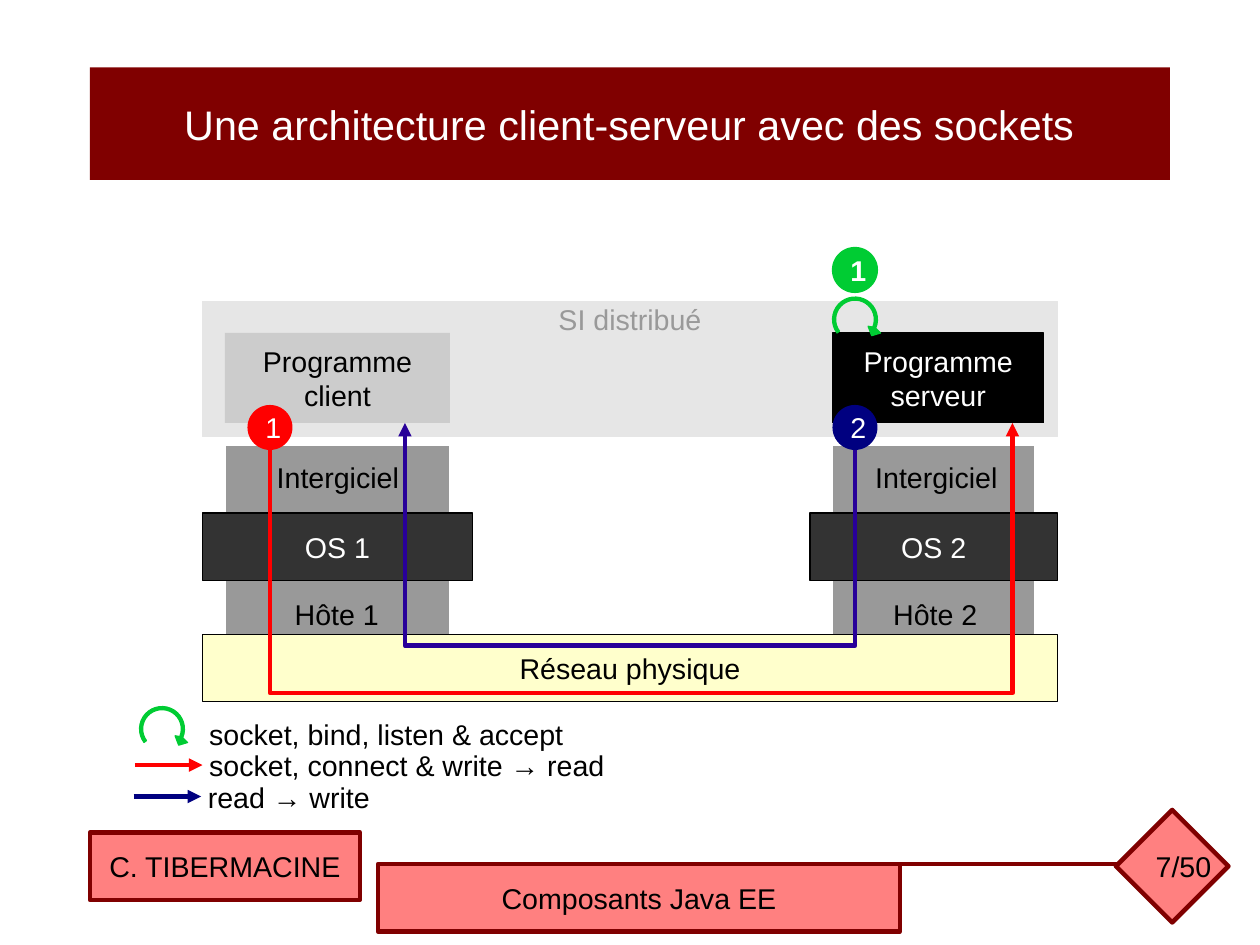
from dataclasses import dataclass
from math import cos, radians, sin, tan

from lxml import etree
from pptx import Presentation
from pptx import util as u
from pptx.dml.color import RGBColor
from pptx.enum import shapes, text
from pptx.oxml import ns

Point = tuple[float, float]
KIND = shapes.MSO_SHAPE
MID = text.MSO_ANCHOR.MIDDLE
TOP = text.MSO_ANCHOR.TOP
LEFT = text.PP_ALIGN.LEFT
CENTER = text.PP_ALIGN.CENTER


@dataclass(frozen=True)
class Theme:
    face: str = "Arial"
    size: float = 18
    title: float = 26
    thick: float = 2.83
    hair: float = 0
    white: str = "FFFFFF"
    black: str = "000000"
    wine: str = "800000"
    pink: str = "FF8080"
    pale: str = "E6E6E6"
    light: str = "CCCCCC"
    gray: str = "999999"
    dark: str = "333333"
    cream: str = "FFFFCC"
    red: str = "FF0000"
    navy: str = "000080"
    violet: str = "280099"
    green: str = "00CC33"


T = Theme()


@dataclass
class Box:
    words: str
    x: float
    y: float
    w: float
    h: float
    fill: str
    ink: str = T.black
    edge: str | None = None
    thick: float = T.hair
    kind: KIND = KIND.RECTANGLE
    size: float = T.size
    bold: bool = False
    anchor: text.MSO_ANCHOR = MID
    inset: float = 0.13


@dataclass
class Label:
    words: str
    x: float
    y: float
    w: float
    wrap: bool = False
    align: text.PP_ALIGN = LEFT


@dataclass
class Route:
    points: list[Point]
    tone: str
    end: str


@dataclass
class Line:
    start: Point
    stop: Point
    tone: str
    end: str | None = None


def paint(part, tone: str) -> None:
    part.solid()
    part.fore_color.rgb = RGBColor.from_string(tone)


def stroke(shape, tone: str | None, thick: float, end: str | None = None) -> None:
    if tone is None:
        shape.line.fill.background()
        return
    paint(shape.line.fill, tone)
    shape.line.width = u.Pt(thick)
    if end:
        edge = shape.element.spPr.find(ns.qn("a:ln"))
        etree.SubElement(edge, ns.qn(f"a:{end}End"), type="triangle")


def write(frame, words: str, ink: str, form: dict, align: text.PP_ALIGN,
          size: float = T.size, bold: bool = False) -> None:
    frame.text = words
    for name, value in form.items():
        setattr(frame, name, value)
    font_form = {"name": T.face, "size": u.Pt(size), "bold": bold}
    for para in frame.paragraphs:
        para.alignment = align
        for name, value in font_form.items():
            setattr(para.font, name, value)
        para.font.color.rgb = RGBColor.from_string(ink)


def draw_box(page, box: Box) -> None:
    place = [u.Cm(n) for n in (box.x, box.y, box.w, box.h)]
    shape = page.add_shape(box.kind, *place)
    shape.shadow.inherit = False
    paint(shape.fill, box.fill)
    stroke(shape, box.edge, box.thick)
    if box.words:
        form = {"word_wrap": True, "vertical_anchor": box.anchor,
                "margin_top": u.Cm(box.inset)}
        write(shape.text_frame, box.words, box.ink, form, CENTER, box.size, box.bold)


def draw_label(page, label: Label) -> None:
    shape = page.add_textbox(*[u.Cm(n) for n in (label.x, label.y, label.w, 0.96)])
    form = {"word_wrap": label.wrap, "auto_size": text.MSO_AUTO_SIZE.SHAPE_TO_FIT_TEXT}
    write(shape.text_frame, label.words, T.black, form, label.align)


def draw_form(page, points: list[Point], close: bool):
    first, *rest = [(u.Cm(x), u.Cm(y)) for x, y in points]
    pen = page.build_freeform(*first)
    pen.add_line_segments(rest, close=close)
    shape = pen.convert_to_shape()
    shape.shadow.inherit = False
    return shape


def draw_area(page, points: list[Point], fill: str, edge: str):
    shape = draw_form(page, points, True)
    paint(shape.fill, fill)
    stroke(shape, edge, T.hair)
    return shape


def draw_route(page, route: Route) -> None:
    shape = draw_form(page, route.points, False)
    shape.fill.background()
    stroke(shape, route.tone, T.thick, route.end)


def draw_line(page, line: Line) -> None:
    ends = [u.Cm(n) for n in (*line.start, *line.stop)]
    shape = page.add_connector(shapes.MSO_CONNECTOR.STRAIGHT, *ends)
    stroke(shape, line.tone, T.thick, line.end)
    etree.SubElement(shape.element.spPr, ns.qn("a:effectLst"))


def trace_arc(ray: float, start: float, step: float) -> list[Point]:
    pull = 4 / 3 * tan(radians(step) / 4)
    points = []
    for turn in range(4):
        a = radians(start + turn * step)
        x, y = ray * cos(a), ray * sin(a)
        before, after = (x + pull * y, y - pull * x), (x - pull * y, y + pull * x)
        points += [before, (x, y), after]
    return points[1:-1]


def draw_loop(page, x: float, y: float) -> None:
    head = [(0.57, 0.3), (0.37, 0.36), (0.29, 0.15)]
    ring = trace_arc(0.43, 23, -80) + trace_arc(0.5, -217, 80) + head
    shape = draw_area(page, [(x + a, y + b) for a, b in ring], T.green, T.green)
    legs = list(shape.element.spPr.iter(ns.qn("a:lnTo")))
    for first in (0, 3, 6, 10, 13, 16):
        curve, *others = legs[first:first + 3]
        curve.tag = ns.qn("a:cubicBezTo")
        for leg in others:
            curve.append(leg[0])
            leg.getparent().remove(leg)


BACK = Box("SI distribué", 4.5, 6.7, 19, 3, T.pale, T.gray, T.pale,
           anchor=TOP, inset=0)
HOSTS = [(5, 9.9), (5, 15.4), (23, 15.4), (23, 9.9),
         (18.5, 9.9), (18.5, 14.17), (10, 14.17), (10, 9.9)]
BOXES = [
    Box("Une architecture client-serveur avec des sockets", 2, 1.5, 24, 2.5,
        T.wine, T.white, size=T.title),
    Box("C. TIBERMACINE", 2, 18.5, 6, 1.5, T.pink, edge=T.wine, thick=T.thick),
    Box("", 24.8, 18, 2.5, 2.5, T.pink, edge=T.wine, thick=T.thick, kind=KIND.DIAMOND),
    Box("Composants Java EE", 8.4, 19.2, 11.6, 1.5, T.pink, edge=T.wine, thick=T.thick),
    Box("Réseau physique", 4.5, 14.1, 19, 1.5, T.cream, edge=T.black),
    Box("OS 1", 4.5, 11.4, 6, 1.5, T.dark, T.white, T.black),
    Box("OS 2", 18, 11.4, 5.5, 1.5, T.dark, T.white, T.black),
    Box("Programme\nclient", 5, 7.4, 5, 2, T.light),
    Box("Programme\nserveur", 18.5, 7.4, 4.7, 2, T.black, T.white, T.black),
]
LABELS = [
    Label("7/50", 25.2, 18.75, 2.2, True, CENTER),
    Label("Intergiciel", 5.9, 10.1, 3.25),
    Label("Intergiciel", 19.2, 10.1, 3.25),
    Label("Hôte 1", 6.3, 13.13, 2.45),
    Label("Hôte 2", 19.6, 13.13, 2.45),
    Label("socket, bind, listen & accept", 4.4, 15.8, 8.45),
    Label("socket, connect & write → read", 4.4, 16.5, 9.4),
    Label("read → write", 4.37, 17.2, 4.2),
]
ROUTES = [
    Route([(6, 9.4), (6, 15.4), (22.5, 15.4), (22.5, 9.4)], T.red, "tail"),
    Route([(9, 9.4), (9, 14.35), (19, 14.35), (19, 9.4)], T.violet, "head"),
]
RULE = Line((25, 19.2), (18.5, 19.2), T.wine)
KEYS = [
    Line((3, 17), (4.5, 17), T.red, "tail"),
    Line((2.97, 17.7), (4.47, 17.7), T.navy, "tail"),
]
DOTS = [
    Box("1", 5.5, 9, 1, 1, T.red, T.white, kind=KIND.OVAL),
    Box("2", 18.5, 9, 1, 1, T.navy, T.white, kind=KIND.OVAL),
    Box("1", 18.5, 5.5, 1, 1, T.green, T.white, T.green, kind=KIND.OVAL, bold=True),
]
LOOPS = [(19, 7.1), (3.6, 16.2)]


def main() -> None:
    deck = Presentation()
    deck.slide_width, deck.slide_height = u.Cm(28), u.Cm(21)
    page = deck.slides.add_slide(deck.slide_layouts[6]).shapes
    draw_box(page, BACK)
    draw_area(page, HOSTS, T.gray, T.white)
    draw_line(page, RULE)
    for draw, items in ((draw_box, BOXES), (draw_label, LABELS), (draw_route, ROUTES),
                        (draw_line, KEYS), (draw_box, DOTS)):
        for item in items:
            draw(page, item)
    for x, y in LOOPS:
        draw_loop(page, x, y)
    deck.save("out.pptx")


if __name__ == "__main__":
    main()
